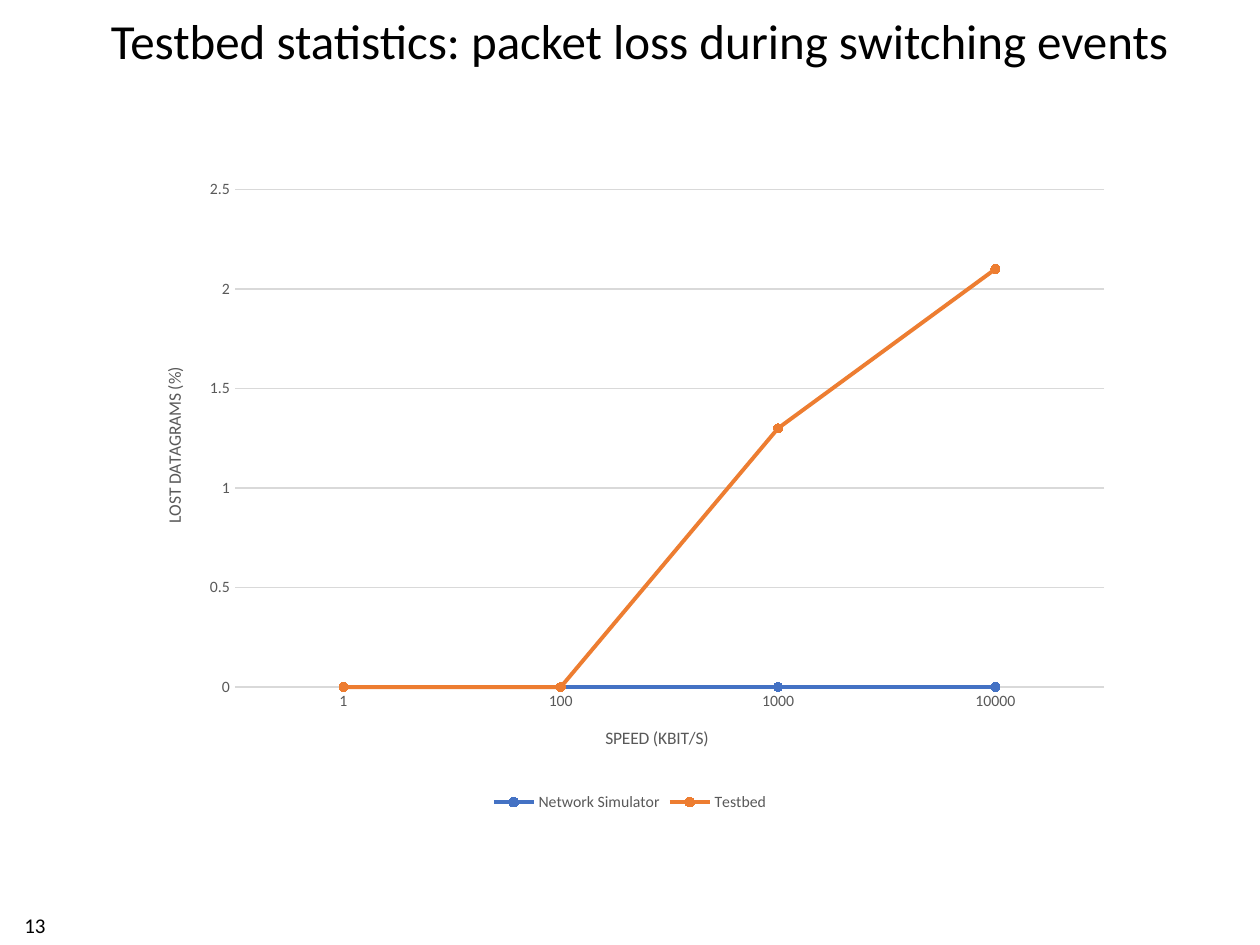
from lxml import etree
from pptx import Presentation
from pptx.chart.data import CategoryChartData
from pptx.dml.color import RGBColor
from pptx.enum.chart import XL_CHART_TYPE as ChartType, XL_LEGEND_POSITION as LegendPosition
from pptx.enum.chart import XL_MARKER_STYLE as MarkerStyle, XL_TICK_MARK as TickMark
from pptx.enum.text import MSO_ANCHOR as Anchor, PP_ALIGN as Align
from pptx.oxml.ns import qn
from pptx.util import Inches, Pt

FONT = "Calibri"
BLACK = RGBColor(0x00, 0x00, 0x00)
GREY = RGBColor(0x59, 0x59, 0x59)
GRID = RGBColor(0xD9, 0xD9, 0xD9)
BLUE = RGBColor(0x44, 0x72, 0xC4)
ORANGE = RGBColor(0xED, 0x7D, 0x31)

SPEEDS = ["1", "100", "1000", "10000"]
LOSSES = [
    ("Network Simulator", [0, 0, 0, 0], BLUE),
    ("Testbed", [0, 0, 1.3, 2.1], ORANGE),
]
PLOT_AREA = {"x": 0.1, "y": 0.03, "w": 0.88, "h": 0.77}


def style_font(font, size, color):
    """Apply the slide's typeface with a size and colour."""
    font.name = FONT
    font.size = Pt(size)
    font.bold = False
    font.color.rgb = color


def style_line(line, color, width):
    """Give a line its colour and width in points."""
    line.color.rgb = color
    line.width = Pt(width)


def add_heading(slide, box, wording):
    """Place the title placeholder in the box."""
    heading = slide.shapes.title
    heading.left, heading.top, heading.width, heading.height = box
    frame = heading.text_frame
    frame.text = wording
    frame.word_wrap = True
    frame.vertical_anchor = Anchor.MIDDLE
    paragraph = frame.paragraphs[0]
    paragraph.alignment = Align.LEFT
    paragraph.line_spacing = 0.9
    style_font(paragraph.font, 28, BLACK)


def add_page_number(slide, box, number):
    """Place the page number in the box."""
    frame = slide.shapes.add_textbox(*box).text_frame
    frame.text = number
    frame.word_wrap = True
    frame.vertical_anchor = Anchor.MIDDLE
    paragraph = frame.paragraphs[0]
    paragraph.alignment = Align.RIGHT
    style_font(paragraph.font, 12, BLACK)


def style_axis(axis, caption):
    """Format an axis and its caption."""
    axis.major_tick_mark = axis.minor_tick_mark = TickMark.NONE
    style_font(axis.tick_labels.font, 9, GREY)
    frame = axis.axis_title.text_frame
    frame.text = caption
    style_font(frame.paragraphs[0].font, 10, GREY)


def set_plot_area(chart, fractions):
    """Fix the inner plot area as fractions of the chart."""
    plot_area = chart.plots[0]._element.getparent()
    layout = plot_area.find(qn("c:layout"))
    if layout is None:
        layout = etree.Element(qn("c:layout"))
        plot_area.insert(0, layout)
    manual = etree.SubElement(layout, qn("c:manualLayout"))
    settings = [("layoutTarget", "inner"), ("xMode", "edge"), ("yMode", "edge")]
    for tag, value in settings + list(fractions.items()):
        etree.SubElement(manual, qn(f"c:{tag}")).set("val", str(value))


def add_loss_chart(slide, box):
    """Draw packet loss against speed in the box."""
    losses = CategoryChartData()
    losses.categories = SPEEDS
    for name, values, _ in LOSSES:
        losses.add_series(name, values)
    chart = slide.shapes.add_chart(ChartType.LINE_MARKERS, *box, losses).chart
    style_font(chart.font, 10, BLACK)
    chart.has_title = False
    chart.has_legend = True
    chart.legend.position = LegendPosition.BOTTOM
    chart.legend.include_in_layout = False
    style_font(chart.legend.font, 9, GREY)

    style_axis(chart.category_axis, "SPEED (KBIT/S)")
    style_line(chart.category_axis.format.line, GRID, 0.75)
    loss_axis = chart.value_axis
    style_axis(loss_axis, "LOST DATAGRAMS (%)")
    loss_axis.minimum_scale, loss_axis.maximum_scale, loss_axis.major_unit = 0, 2.5, 0.5
    loss_axis.format.line.fill.background()
    style_line(loss_axis.major_gridlines.format.line, GRID, 0.75)

    plot = chart.plots[0]
    plot.vary_by_categories = False
    for series, (_, _, color) in zip(plot.series, LOSSES):
        series.smooth = False
        style_line(series.format.line, color, 2.25)
        marker = series.marker
        marker.style = MarkerStyle.CIRCLE
        marker.size = 5
        marker.format.fill.solid()
        marker.format.fill.fore_color.rgb = color
        style_line(marker.format.line, color, 0.75)
    set_plot_area(chart, PLOT_AREA)


def main():
    """Build and save the slide."""
    deck = Presentation()
    deck.slide_width, deck.slide_height = Inches(10), Inches(7.5)
    slide = deck.slides.add_slide(deck.slide_layouts[5])
    add_heading(
        slide,
        (Inches(0.78), Inches(0.15), Inches(8.62), Inches(0.4)),
        "Testbed statistics: packet loss during switching events",
    )
    add_page_number(slide, (Inches(0), Inches(7.19), Inches(0.46), Inches(0.31)), "13")
    add_loss_chart(slide, (Inches(1.08), Inches(1.35), Inches(7.84), Inches(5.13)))
    deck.save("out.pptx")


if __name__ == "__main__":
    main()
